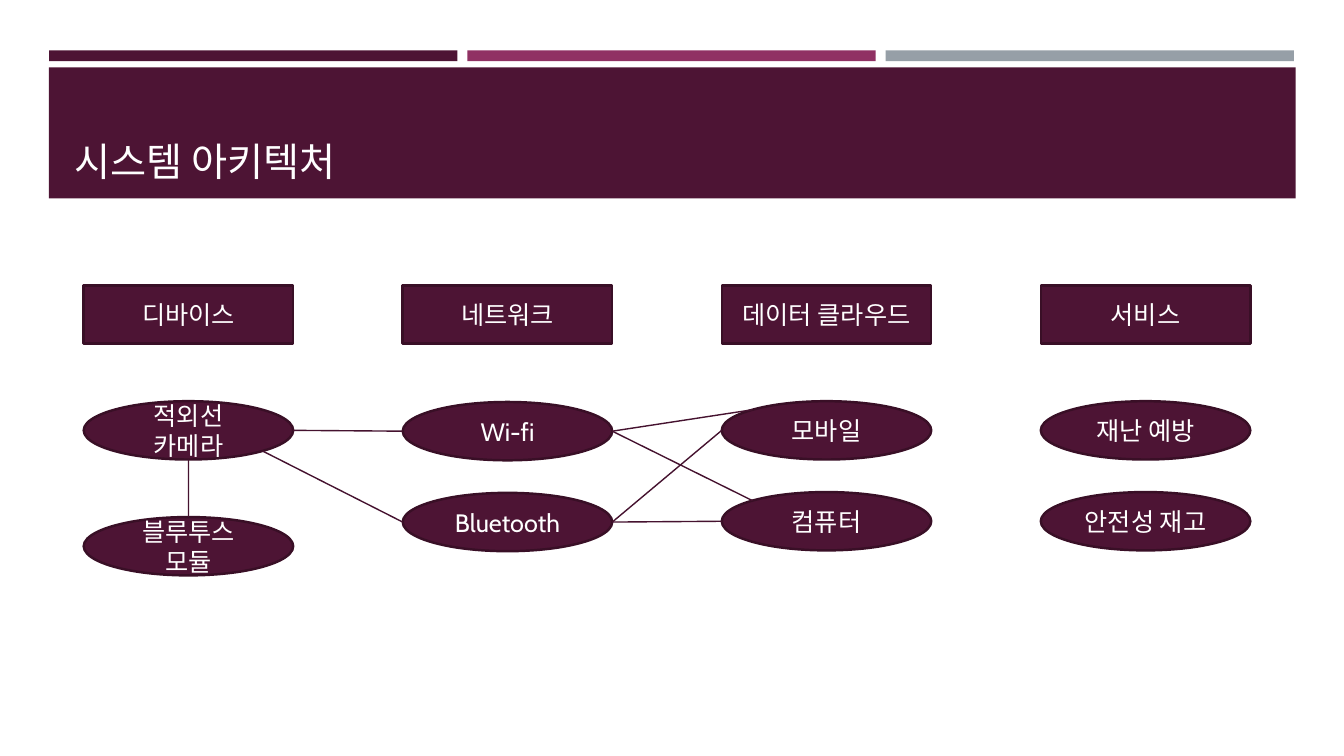
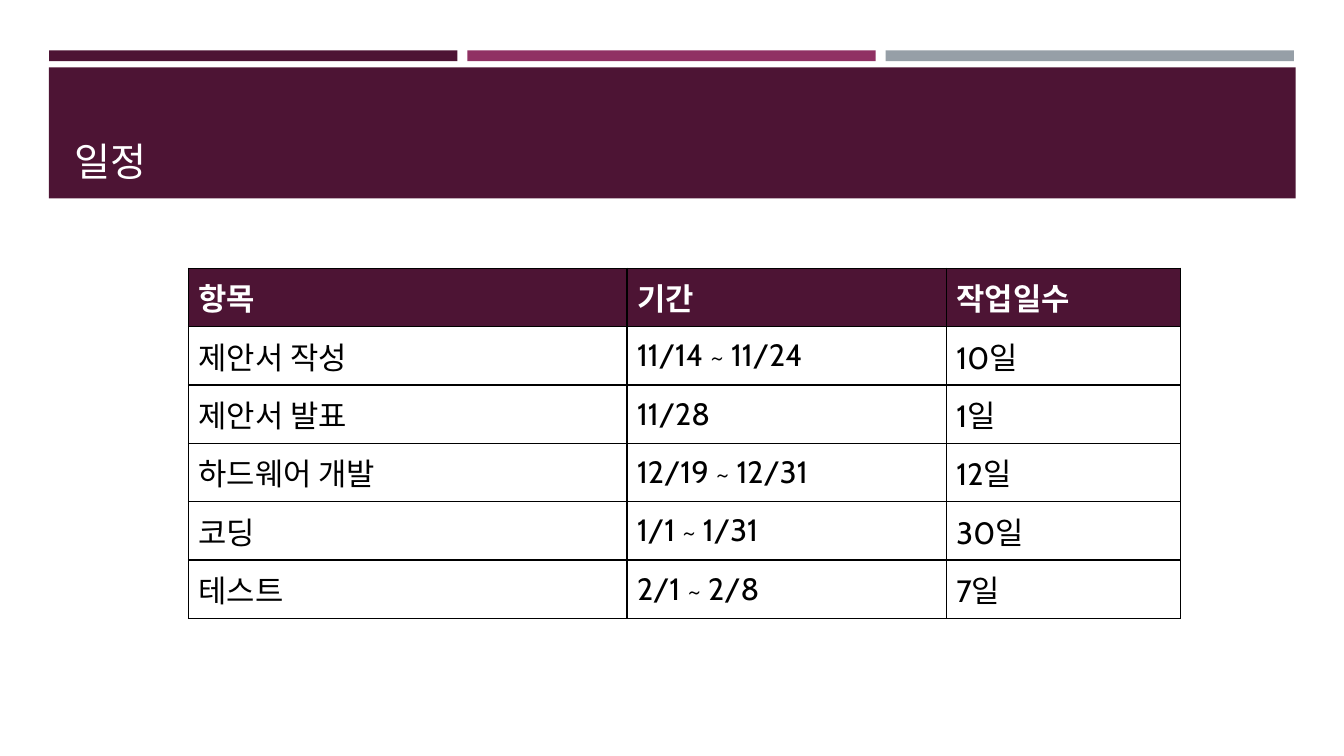
from math import cos, radians, sin

from lxml.etree import SubElement
from pptx import Presentation
from pptx.dml.color import RGBColor
from pptx.enum.shapes import MSO_CONNECTOR, MSO_SHAPE
from pptx.enum.text import MSO_ANCHOR, MSO_AUTO_SIZE, PP_ALIGN
from pptx.oxml import parse_xml
from pptx.oxml.ns import nsdecls, qn
from pptx.util import Cm, Pt

FONT = "Cabin"
COLORS = {
    "plum": "4D1434",
    "magenta": "903163",
    "gray": "969FA7",
    "outline": "390F26",
    "link": "45122F",
    "white": "FFFFFF",
    "black": "000000",
}
COLOR = {name: RGBColor.from_string(value) for name, value in COLORS.items()}


def add_box(page, kind, left, top, width, height, fill):
    box = page.shapes.add_shape(kind, Cm(left), Cm(top), Cm(width), Cm(height))
    box.shadow.inherit = False
    box.fill.solid()
    box.fill.fore_color.rgb = COLOR[fill]
    box.line.fill.background()
    return box


def style_text(frame, size, color, bold=False, align=PP_ALIGN.LEFT):
    for para in frame.paragraphs:
        para.alignment = align
        para.font.name = FONT
        para.font.size = Pt(size)
        para.font.bold = bold
        para.font.color.rgb = COLOR[color]


deck = Presentation()
deck.slide_width, deck.slide_height = Cm(33.87), Cm(19.05)
layout = deck.slide_layouts.get_by_name("Title Only")

# Both pages share the title and its place
pages = []
for heading in ("시스템 아키텍처", "일정"):
    page = deck.slides.add_slide(layout)
    title = page.shapes.title
    title.left, title.top = Cm(1.63), Cm(1.96)
    title.width, title.height = Cm(30.63), Cm(2.82)
    frame = title.text_frame
    frame.text = heading
    frame.word_wrap = True
    frame.auto_size = MSO_AUTO_SIZE.NONE
    frame.vertical_anchor = MSO_ANCHOR.BOTTOM
    style_text(frame, 28, "white")
    pages.append(page)
architecture, schedule = pages

# The bands are drawn on a page, then moved to the back of the shared layout
bands = [
    add_box(architecture, MSO_SHAPE.RECTANGLE, 1.24 + 10.54 * index, 1.27, 10.29, 0.27, fill)
    for index, fill in enumerate(("plum", "magenta", "gray"))
]
bands.append(add_box(architecture, MSO_SHAPE.RECTANGLE, 1.23, 1.7, 31.42, 3.3, "plum"))
for index, band in enumerate(bands):
    band._element.nvSpPr.cNvPr.set("id", str(20 + index))
    layout.shapes._spTree.insert(2 + index, band._element)

# Architecture: one column per layer, a header above its ellipses
NODE_WIDTH, NODE_HEIGHT = 5.28, 1.47
HEADER_TOP = 7.19
columns = [
    ("디바이스", [("적외선 카메라", 10.11), ("블루투스 모듈", 13.03)]),
    ("네트워크", [("Wi-fi", 10.13), ("Bluetooth", 12.42)]),
    ("데이터 클라우드", [("모바일", 10.11), ("컴퓨터", 12.4)]),
    ("서비스", [("재난 예방", 10.11), ("안전성 재고", 12.4)]),
]
centers = {}
for index, (header, nodes) in enumerate(columns):
    left = 2.11 + 8.04 * index
    for label, top in [(header, HEADER_TOP)] + nodes:
        kind = MSO_SHAPE.RECTANGLE if label == header else MSO_SHAPE.OVAL
        box = add_box(architecture, kind, left, top, NODE_WIDTH, NODE_HEIGHT, "plum")
        box.line.color.rgb = COLOR["outline"]
        box.line.width = Pt(1.75)
        box.text_frame.text = label
        box.text_frame.word_wrap = True
        box.text_frame.vertical_anchor = MSO_ANCHOR.MIDDLE
        style_text(box.text_frame, 18, "white", align=PP_ALIGN.CENTER)
        centers[label] = (left + NODE_WIDTH / 2, top + NODE_HEIGHT / 2)

# Each end is a node and the clockwise angle, from the right, where the line meets it
links = [
    ("블루투스 모듈", 270, "적외선 카메라", 90),
    ("Wi-fi", 180, "적외선 카메라", 0),
    ("Bluetooth", 180, "적외선 카메라", 45),
    ("Bluetooth", 0, "모바일", 180),
    ("Bluetooth", 0, "컴퓨터", 180),
    ("Wi-fi", 0, "컴퓨터", 225),
    ("Wi-fi", 0, "모바일", 225),
]
for start, start_angle, end, end_angle in links:
    ends = []
    for node, angle in ((start, start_angle), (end, end_angle)):
        x, y = centers[node]
        ends.append(Cm(x + NODE_WIDTH / 2 * cos(radians(angle))))
        ends.append(Cm(y + NODE_HEIGHT / 2 * sin(radians(angle))))
    link = architecture.shapes.add_connector(MSO_CONNECTOR.STRAIGHT, *ends)
    link.line.color.rgb = COLOR["link"]
    link.line.width = Pt(1)
    SubElement(link._element.spPr, qn("a:effectLst"))

# Schedule
rows = [
    ("항목", "기간", "작업일수"),
    ("제안서 작성", "11/14 ~ 11/24", "10일"),
    ("제안서 발표", "11/28", "1일"),
    ("하드웨어 개발", "12/19 ~ 12/31", "12일"),
    ("코딩", "1/1 ~ 1/31", "30일"),
    ("테스트", "2/1 ~ 2/8", "7일"),
]
widths = (11.05, 8.05, 5.89)
ROW_HEIGHT = 1.47
table = schedule.shapes.add_table(
    len(rows), len(widths), Cm(4.75), Cm(6.76), Cm(sum(widths)), Cm(ROW_HEIGHT * len(rows))
).table
for column, width in zip(table.columns, widths):
    column.width = Cm(width)
for row_index, row in enumerate(rows):
    table.rows[row_index].height = Cm(ROW_HEIGHT)
    is_header = row_index == 0
    for column_index, text in enumerate(row):
        cell = table.cell(row_index, column_index)
        cell.text = text
        cell.vertical_anchor = MSO_ANCHOR.MIDDLE
        style_text(cell.text_frame, 22, "white" if is_header else "black", bold=is_header)
        properties = cell._tc.get_or_add_tcPr()
        for side in ("lnL", "lnR", "lnT", "lnB"):
            properties.append(parse_xml(
                f'<a:{side} {nsdecls("a")} w="{Pt(1)}"><a:solidFill>'
                f'<a:srgbClr val="{COLORS["black"]}"/></a:solidFill></a:{side}>'
            ))
        cell.fill.solid()
        cell.fill.fore_color.rgb = COLOR["plum" if is_header else "white"]

deck.save("out.pptx")
